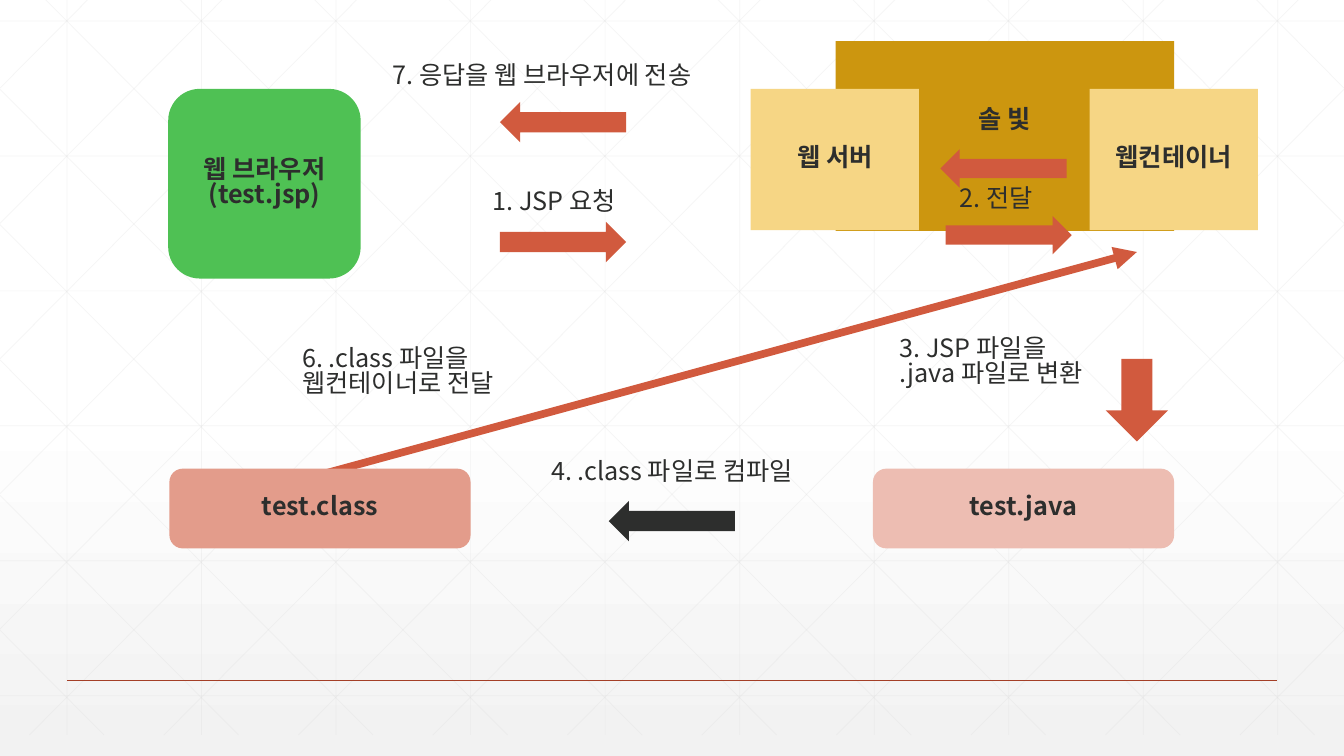
from dataclasses import dataclass

from lxml import etree
from pptx import Presentation
from pptx.dml.color import RGBColor
from pptx.enum.shapes import MSO_CONNECTOR, MSO_SHAPE
from pptx.enum.text import MSO_ANCHOR, PP_ALIGN
from pptx.oxml.ns import qn
from pptx.util import Cm, Pt

RECTANGLE = MSO_SHAPE.RECTANGLE
ROUNDED = MSO_SHAPE.ROUNDED_RECTANGLE
RIGHT_ARROW = MSO_SHAPE.RIGHT_ARROW
STRAIGHT = MSO_CONNECTOR.STRAIGHT
MIDDLE, TOP = MSO_ANCHOR.MIDDLE, MSO_ANCHOR.TOP
CENTER, LEFT = PP_ALIGN.CENTER, PP_ALIGN.LEFT

WIDTH, HEIGHT = 33.87, 19.05


@dataclass(frozen=True)
class Theme:
    font: str = "Noto Sans CJK KR"
    size: float = 18
    line_spacing: float = 0.82
    ink: str = "2D2E2D"
    white: str = "FFFFFF"
    haze: str = "F2F2F2"
    grid: str = "D9D9D9"
    rule: str = "A43F27"
    red: str = "D15A3E"
    rose: str = "E39C8B"
    pink: str = "EDBDB2"
    green: str = "4FC154"
    ochre: str = "CC960F"
    sand: str = "F6D685"


def set_values(target, values):
    for name, value in values.items():
        setattr(target, name, value)


class Diagram:
    def __init__(self, slide, theme):
        self.slide = slide
        self.theme = theme

    def background(self):
        fill = self.slide.background.fill
        fill.gradient()
        fill.gradient_angle = 270
        stops = ((0.53, self.theme.white), (1, self.theme.haze))
        for stop, (position, color) in zip(fill.gradient_stops, stops):
            stop.position = position
            stop.color.rgb = RGBColor.from_string(color)

    def line(self, start, end, color, width, opacity=None, arrow=False):
        points = [Cm(round(value, 2)) for value in (*start, *end)]
        connector = self.slide.shapes.add_connector(STRAIGHT, *points)
        connector.line.color.rgb = RGBColor.from_string(color)
        connector.line.width = Pt(width)
        properties = connector._element.spPr
        outline = properties.find(qn("a:ln"))
        if opacity is not None:
            color_element = outline.find(".//" + qn("a:srgbClr"))
            etree.SubElement(color_element, qn("a:alpha"), val=str(opacity * 1000))
        if arrow:
            etree.SubElement(outline, qn("a:tailEnd"), type="triangle")
        etree.SubElement(properties, qn("a:effectLst"))

    def shape(self, kind, box, color, rotation=0):
        shape = self.slide.shapes.add_shape(kind, *map(Cm, box))
        shape.shadow.inherit = False
        shape.fill.solid()
        shape.fill.fore_color.rgb = RGBColor.from_string(color)
        shape.line.fill.background()
        shape.rotation = rotation
        return shape

    def node(self, kind, box, color, text, bottom=0.13):
        shape = self.shape(kind, box, color)
        self.fill_text(shape.text_frame, text, CENTER, MIDDLE, True, bottom)

    def arrow(self, left, top, color, rotation=0, width=3.18, height=1.02):
        self.shape(RIGHT_ARROW, (left, top, width, height), color, rotation)

    def label(self, left, top, width, text, height=1.02):
        box = self.slide.shapes.add_textbox(*map(Cm, (left, top, width, height)))
        self.fill_text(box.text_frame, text, LEFT, TOP, False)

    def fill_text(self, frame, text, alignment, anchor, bold, bottom=0.13):
        frame.text = text
        set_values(frame, {"word_wrap": True, "vertical_anchor": anchor,
                           "margin_bottom": Cm(bottom)})
        for paragraph in frame.paragraphs:
            set_values(paragraph, {"alignment": alignment,
                                   "line_spacing": self.theme.line_spacing})
            for run in paragraph.runs:
                set_values(run.font, {"name": self.theme.font, "bold": bold,
                                      "size": Pt(self.theme.size)})
                run.font.color.rgb = RGBColor.from_string(self.theme.ink)
                etree.SubElement(run.font._element, qn("a:ea"),
                                 typeface=self.theme.font)

    def grid(self):
        top, bottom, step, run = -0.53, 18.52, 3.39, 18.94
        slope = (bottom - top) / run
        segments = [((1.69 + step * i, top), (1.69 + step * i, bottom))
                    for i in range(10)]
        segments += [((0, 0.53 + 3.4 * i), (WIDTH, 0.53 + 3.4 * i))
                     for i in range(6)]
        # Diagonals are clipped at the slide edges, then mirrored
        for i in range(-5, 10):
            origin = 0.63 + step * i
            left, right = max(origin, 0), min(origin + run, WIDTH)
            start_y, end_y = (top + (x - origin) * slope for x in (left, right))
            segments.append(((left, start_y), (right, end_y)))
            segments.append(((WIDTH - left, start_y), (WIDTH - right, end_y)))
        for start, end in segments:
            self.line(start, end, self.theme.grid, 0.5, opacity=25)


def main():
    presentation = Presentation()
    set_values(presentation, {"slide_width": Cm(WIDTH), "slide_height": Cm(HEIGHT)})
    theme = Theme()
    diagram = Diagram(presentation.slides.add_slide(presentation.slide_layouts[6]), theme)

    # Backdrop
    diagram.background()
    diagram.grid()
    diagram.line((1.69, 17.15), (32.18, 17.15), theme.rule, 1)

    # Class file to container, behind the nodes
    diagram.line((8.08, 11.96), (28.65, 6.35), theme.red, 5.5, arrow=True)

    # Nodes
    diagram.node(ROUNDED, (4.24, 2.24, 4.85, 4.78), theme.green,
                 "웹 브라우저\n(test.jsp)")
    diagram.node(RECTANGLE, (21.06, 1.04, 8.53, 4.78), theme.ochre, "솔 빛", bottom=0.89)
    for left, text in ((27.46, "웹컨테이너"), (18.92, "웹 서버")):
        diagram.node(RECTANGLE, (left, 2.24, 4.24, 3.56), theme.sand, text)
    for left, color, text in ((22, theme.pink, "test.java"),
                              (4.27, theme.rose, "test.class")):
        diagram.node(ROUNDED, (left, 11.81, 7.59, 2.01), color, text)

    # Step arrows
    diagram.arrow(12.6, 5.59, theme.red)
    diagram.arrow(23.83, 5.44, theme.red, height=0.97)
    diagram.arrow(27.61, 9.3, theme.red, 90, width=2.08, height=1.57)
    diagram.arrow(15.34, 12.62, theme.ink, 180)
    diagram.arrow(23.7, 3.76, theme.red, 180, height=0.97)
    diagram.arrow(12.6, 2.57, theme.red, 180)

    # Step labels
    diagram.label(12.17, 4.67, 4.04, "1. JSP 요청")
    diagram.label(23.93, 4.6, 4.04, "2. 전달")
    diagram.label(22.43, 8.38, 5.97, "3. JSP 파일을\n.java 파일로 변환", height=1.8)
    diagram.label(13.64, 11.48, 7.42, "4. .class 파일로 컴파일")
    diagram.label(7.37, 8.64, 8.13, "6. .class 파일을 웹컨테이너로 전달", height=1.8)
    diagram.label(9.65, 1.5, 9.65, "7. 응답을 웹 브라우저에 전송")

    presentation.save("out.pptx")


if __name__ == "__main__":
    main()
